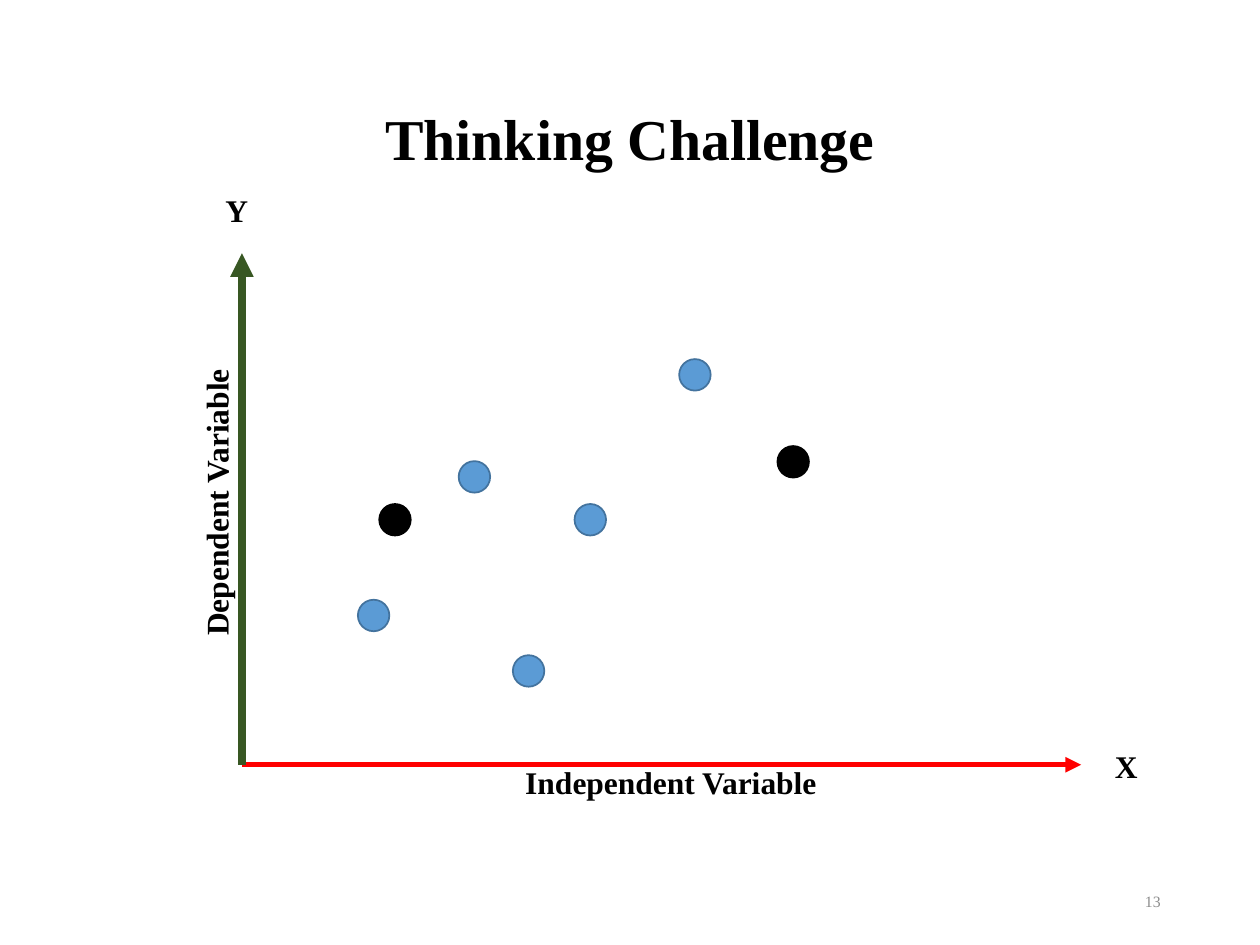
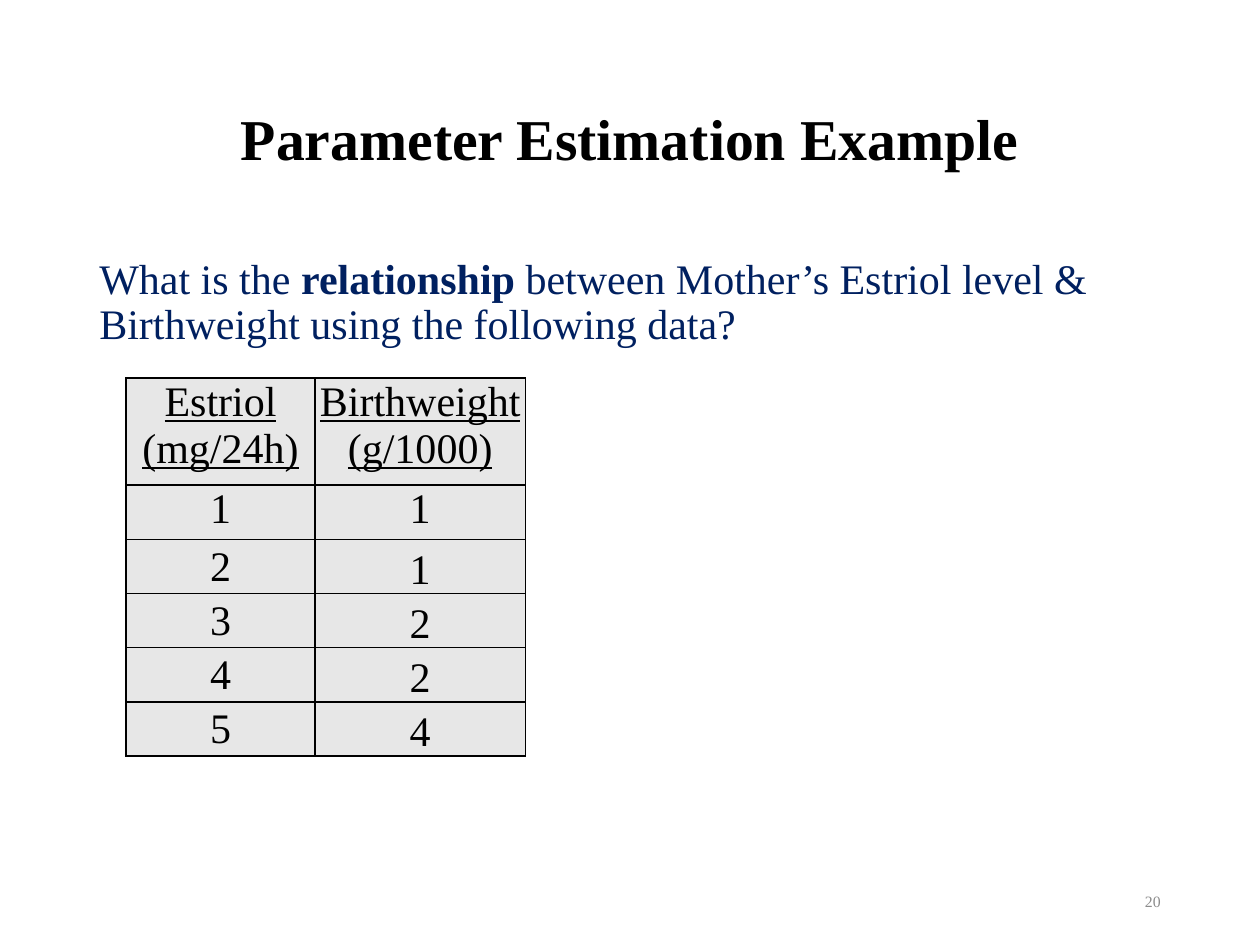
from lxml import etree
from pptx import Presentation
from pptx.dml.color import RGBColor
from pptx.enum.shapes import MSO_CONNECTOR, MSO_SHAPE
from pptx.enum.text import MSO_ANCHOR, PP_ALIGN
from pptx.oxml import parse_xml
from pptx.oxml.ns import nsdecls, qn
from pptx.util import Inches, Pt

LEFT, CENTER, RIGHT = PP_ALIGN.LEFT, PP_ALIGN.CENTER, PP_ALIGN.RIGHT
TOP, MIDDLE, BOTTOM = MSO_ANCHOR.TOP, MSO_ANCHOR.MIDDLE, MSO_ANCHOR.BOTTOM
STRAIGHT, OVAL = MSO_CONNECTOR.STRAIGHT, MSO_SHAPE.OVAL

FONT = "Times New Roman"
TITLE_ONLY = 5
COLORS = {
    "black": "000000",
    "navy": "002060",
    "gray": "8C8C8C",
    "cell": "E7E7E7",
    "red": "FF0000",
    "green": "385723",
    "blue": "5B9BD5",
    "blue_edge": "43739E",
}


def rgb(name):
    return RGBColor.from_string(COLORS[name])


def place(sp, box):
    sp.left, sp.top, sp.width, sp.height = [Inches(v) for v in box]


class Deck:
    def __init__(self):
        self.prs = Presentation()
        self.prs.slide_width, self.prs.slide_height = Inches(10), Inches(7.5)
        self.s = None

    def slide(self, title, number):
        self.s = self.prs.slides.add_slide(self.prs.slide_layouts[TITLE_ONLY])
        sp = self.s.shapes.title
        place(sp, (0.69, 0.4, 8.62, 1.45))
        sp.text_frame.text = title
        sp.text_frame.vertical_anchor = MIDDLE
        p = sp.text_frame.paragraphs[0]
        p.line_spacing = 0.9
        self.style(p, 33, bold=True, align=CENTER)
        self.text((7.06, 6.95, 2.25, 0.4), str(number), 9, "gray",
                  align=RIGHT, anchor=MIDDLE)

    def style(self, p, size, color="black", bold=False, underline=False, align=LEFT):
        p.alignment = align
        for r in p.runs:
            r.font.name, r.font.size = FONT, Pt(size)
            r.font.bold, r.font.underline = bold, underline
            r.font.color.rgb = rgb(color)

    def text(self, box, parts, size, color="black", bold=False, align=LEFT,
             anchor=TOP, rotation=0):
        sp = self.s.shapes.add_textbox(*[Inches(v) for v in box])
        sp.rotation = rotation
        tf = sp.text_frame
        tf.word_wrap = True
        tf.vertical_anchor = anchor
        p = tf.paragraphs[0]
        for part in [parts] if isinstance(parts, str) else parts:
            p.add_run().text = part
        self.style(p, size, color, bold, align=align)
        return p

    def arrow(self, start, end, color, width):
        sp = self.s.shapes.add_connector(STRAIGHT, *[Inches(v) for v in start + end])
        sp.line.color.rgb = rgb(color)
        sp.line.width = Pt(width)
        etree.SubElement(sp.line._get_or_add_ln(), qn("a:tailEnd"), type="triangle")
        etree.SubElement(sp._element.spPr, qn("a:effectLst"))

    def dot(self, x, y, fill, edge):
        sp = self.s.shapes.add_shape(OVAL, Inches(x), Inches(y), Inches(0.25), Inches(0.25))
        sp.shadow.inherit = False
        sp.fill.solid()
        sp.fill.fore_color.rgb = rgb(fill)
        sp.line.color.rgb = rgb(edge)
        sp.line.width = Pt(1)

    def cell(self, cell, value, anchor, underline):
        cell.margin_left = cell.margin_right = cell.margin_top = Inches(0.01)
        cell.margin_bottom = 0
        cell.vertical_anchor = anchor
        tc_pr = cell._tc.get_or_add_tcPr()
        for side in "LRTB":
            tc_pr.append(parse_xml(
                f'<a:ln{side} {nsdecls("a")} w="{Pt(1)}"><a:solidFill>'
                f'<a:srgbClr val="{COLORS["black"]}"/></a:solidFill></a:ln{side}>'))
        cell.fill.solid()
        cell.fill.fore_color.rgb = rgb("cell")
        cell.text_frame.text = value
        self.style(cell.text_frame.paragraphs[0], 24, underline=underline, align=CENTER)

    def table(self, box, rows, widths, heights):
        table = self.s.shapes.add_table(
            len(rows), len(widths), *[Inches(v) for v in box]).table
        table.horz_banding = False
        for col, width in zip(table.columns, widths):
            col.width = Inches(width)
        for i, (row, height) in enumerate(zip(rows, heights)):
            table.rows[i].height = Inches(height)
            anchors = (TOP, TOP) if i < 2 else (MIDDLE, BOTTOM)
            for j, value in enumerate(row):
                self.cell(table.cell(i, j), value, anchors[j], underline=i == 0)


def thinking_challenge(deck):
    deck.slide("Thinking Challenge", 13)
    origin = (1.92, 6.07)
    deck.arrow(origin, (8.58, 6.07), "red", 3)
    deck.arrow(origin, (1.92, 2.01), "green", 4.5)
    for x, y in [(2.84, 4.76), (4.07, 5.2), (5.39, 2.85), (4.56, 4), (3.64, 3.66)]:
        deck.dot(x, y, "blue", "blue_edge")
    for x, y in [(3.01, 4), (6.17, 3.54)]:
        deck.dot(x, y, "black", "black")
    for label, x, y, width, rotation in [
        ("Independent Variable", 4.07, 6.01, 2.51, 0),
        ("Dependent Variable", 0.46, 3.69, 2.51, 270),
        ("Y", 1.69, 1.47, 0.45, 0),
        ("X", 8.75, 5.88, 0.45, 0),
    ]:
        deck.text((x, y, width, 0.4), label, 18, bold=True, rotation=rotation)


def parameter_estimation(deck):
    deck.slide("Parameter Estimation Example", 20)
    question = ["What is the ", "relationship",
                " between Mother’s Estriol level & Birthweight using the following data?"]
    p = deck.text((0.69, 2, 8.62, 4.76), question, 24, "navy")
    p.line_spacing = 0.9
    p.space_before = Pt(7.5)
    p.runs[1].font.bold = True
    rows = [("Estriol (mg/24h)", "Birthweight (g/1000)"),
            ("1", "1"), ("2", "1"), ("3", "2"), ("4", "2"), ("5", "4")]
    deck.table((1, 3, 3.17, 3), rows, [1.5, 1.67], [0.85] + [0.43] * 5)


def main():
    deck = Deck()
    thinking_challenge(deck)
    parameter_estimation(deck)
    deck.prs.save("out.pptx")


if __name__ == "__main__":
    main()
